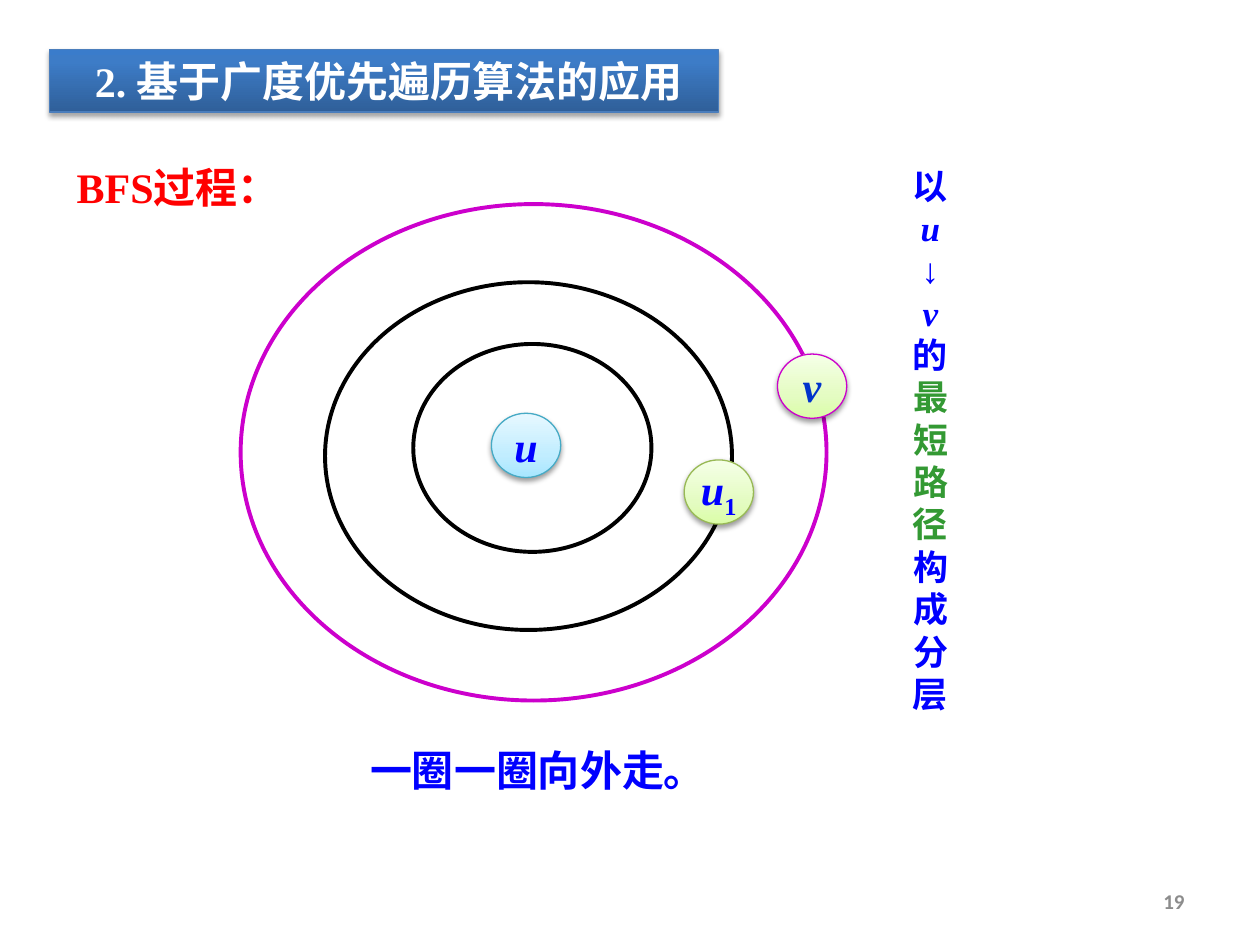
from lxml.etree import SubElement
from pptx import Presentation
from pptx.dml.color import RGBColor
from pptx.enum.shapes import MSO_SHAPE
from pptx.enum.text import MSO_ANCHOR, MSO_AUTO_SIZE, PP_ALIGN
from pptx.oxml.ns import qn
from pptx.util import Inches, Pt

COLORS = {
    "blue": "0000FF", "navy": "0033CC", "red": "FF0000", "green": "339933",
    "purple": "CC00CC", "black": "000000", "white": "FFFFFF", "gray": "8C8C8C",
    "cyan_edge": "46AAC5", "lime_edge": "98B955", "banner_edge": "4B7EBC",
}
GRADIENTS = {
    "cyan": [(0, "A7E6FF"), (35, "C1EDFF"), (100, "E7F8FF")],
    "lime": [(0, "DAFDA7"), (35, "E4FCC2"), (100, "F5FFE7")],
    "banner": [(0, "2F5F99"), (80, "3D7CC7"), (100, "3A7CCB")],
}
SERIF, SANS, NUMBER = "Times New Roman", "Noto Sans CJK SC", "Calibri"
COLUMNS, ROWS = 100, 75


class SlideBuilder:
    """Draws styled elements on one slide, placed on a 100 by 75 grid."""

    def __init__(self, presentation):
        self.width = presentation.slide_width
        self.height = presentation.slide_height
        self.slide = presentation.slides.add_slide(presentation.slide_layouts[5])

    def box(self, left, top, width, height):
        column, row = self.width / COLUMNS, self.height / ROWS
        return (round(left * column), round(top * row),
                round(width * column), round(height * row))

    def decorate(self, shape, gradient, edge, shadow_alpha):
        shape.fill.gradient()
        shape.fill.gradient_angle = 90
        stops = shape._element.spPr.find(qn("a:gradFill")).find(qn("a:gsLst"))
        stops.clear()
        for position, color in GRADIENTS[gradient]:
            stop = SubElement(stops, qn("a:gs"), pos=str(position * 1000))
            SubElement(stop, qn("a:srgbClr"), val=color)
        self.outline(shape, edge, 0.75)
        effects = shape._element.spPr.find(qn("a:effectLst"))
        shadow = SubElement(effects, qn("a:outerShdw"), blurRad=str(Pt(3.1)),
                            dist=str(Pt(1.7)), dir="5400000", rotWithShape="0")
        color = SubElement(shadow, qn("a:srgbClr"), val=COLORS["black"])
        SubElement(color, qn("a:alpha"), val=str(shadow_alpha * 1000))

    def outline(self, shape, edge, width):
        shape.line.color.rgb = RGBColor.from_string(COLORS[edge])
        shape.line.width = Pt(width)
        shape.shadow.inherit = False

    def fill_text(self, shape, paragraphs, size, font=SERIF, align=PP_ALIGN.CENTER,
                  anchor=MSO_ANCHOR.TOP, wrap=True, leading=None):
        frame = shape.text_frame
        frame.word_wrap = wrap
        frame.auto_size = MSO_AUTO_SIZE.NONE
        frame.vertical_anchor = anchor
        for index, pieces in enumerate(paragraphs):
            paragraph = frame.add_paragraph() if index else frame.paragraphs[0]
            paragraph.alignment = align
            paragraph.space_before = Pt(0)
            if leading:
                paragraph.line_spacing = Pt(leading)
            for text, color, style in pieces:
                run = paragraph.add_run()
                run.text = text
                run.font.name, run.font.size = font, Pt(size)
                run.font.bold, run.font.italic = True, style == "italic"
                run.font.color.rgb = RGBColor.from_string(COLORS[color])
                properties = run._r.get_or_add_rPr()
                SubElement(properties, qn("a:ea"), typeface=SANS)
                if style == "subscript":
                    properties.set("baseline", "-25000")

    def title(self, place, text):
        shape = self.slide.shapes.title
        shape.left, shape.top, shape.width, shape.height = self.box(*place)
        self.decorate(shape, "banner", "banner_edge", 35)
        self.fill_text(shape, [[(text, "white", "")]], 24,
                       anchor=MSO_ANCHOR.MIDDLE, leading=28.8)

    def label(self, place, paragraphs, size, **options):
        shape = self.slide.shapes.add_textbox(*self.box(*place))
        self.fill_text(shape, paragraphs, size, **options)

    def ring(self, place, edge):
        shape = self.slide.shapes.add_shape(MSO_SHAPE.OVAL, *self.box(*place))
        shape.fill.background()
        self.outline(shape, edge, 2.25)

    def node(self, left, top, pieces, gradient, edge):
        place = self.box(left, top, 5.5, 5.1)
        shape = self.slide.shapes.add_shape(MSO_SHAPE.OVAL, *place)
        self.decorate(shape, gradient, edge, 38)
        self.fill_text(shape, [pieces], 24, anchor=MSO_ANCHOR.MIDDLE, wrap=False)


def main():
    presentation = Presentation()
    presentation.slide_width, presentation.slide_height = Inches(10), Inches(7.5)
    builder = SlideBuilder(presentation)

    builder.title((3.9, 3.9, 53.1, 5), " 2. 基于广度优先遍历算法的应用")
    builder.label((5.1, 12.3, 20.5, 5), [[("BFS过程：", "red", "")]], 24,
                  align=PP_ALIGN.LEFT, leading=28.8)

    for place, edge in [((32.8, 27.3, 18.9, 16.5), "black"),
                        ((25.8, 22.4, 32.3, 27.6), "black"),
                        ((19.1, 16.2, 46.5, 39.4), "purple")]:
        builder.ring(place, edge)

    builder.node(39, 32.8, [("u", "blue", "italic")], "cyan", "cyan_edge")
    builder.node(54.3, 36.5, [("u", "blue", "italic"), ("1", "blue", "subscript")],
                 "lime", "lime_edge")
    builder.node(61.7, 28.1, [("v", "navy", "italic")], "lime", "purple")

    builder.label((71.1, 12.5, 5.5, 44.8), [
        [("以", "blue", ""), ("u", "blue", "italic")],
        [("↓", "blue", "")],
        [("v", "blue", "italic"), ("的", "blue", ""),
         ("最短路径", "green", ""), ("构成分层", "blue", "")],
    ], 20, leading=24.2)
    builder.label((25.8, 58.6, 33.8, 5), [[("一圈一圈向外走。", "blue", "")]], 24,
                  font=SANS, leading=28.8)
    builder.label((71.7, 69.5, 23.3, 4), [[("19", "gray", "")]], 12, font=NUMBER,
                  align=PP_ALIGN.RIGHT, anchor=MSO_ANCHOR.MIDDLE)
    presentation.save("out.pptx")


if __name__ == "__main__":
    main()
